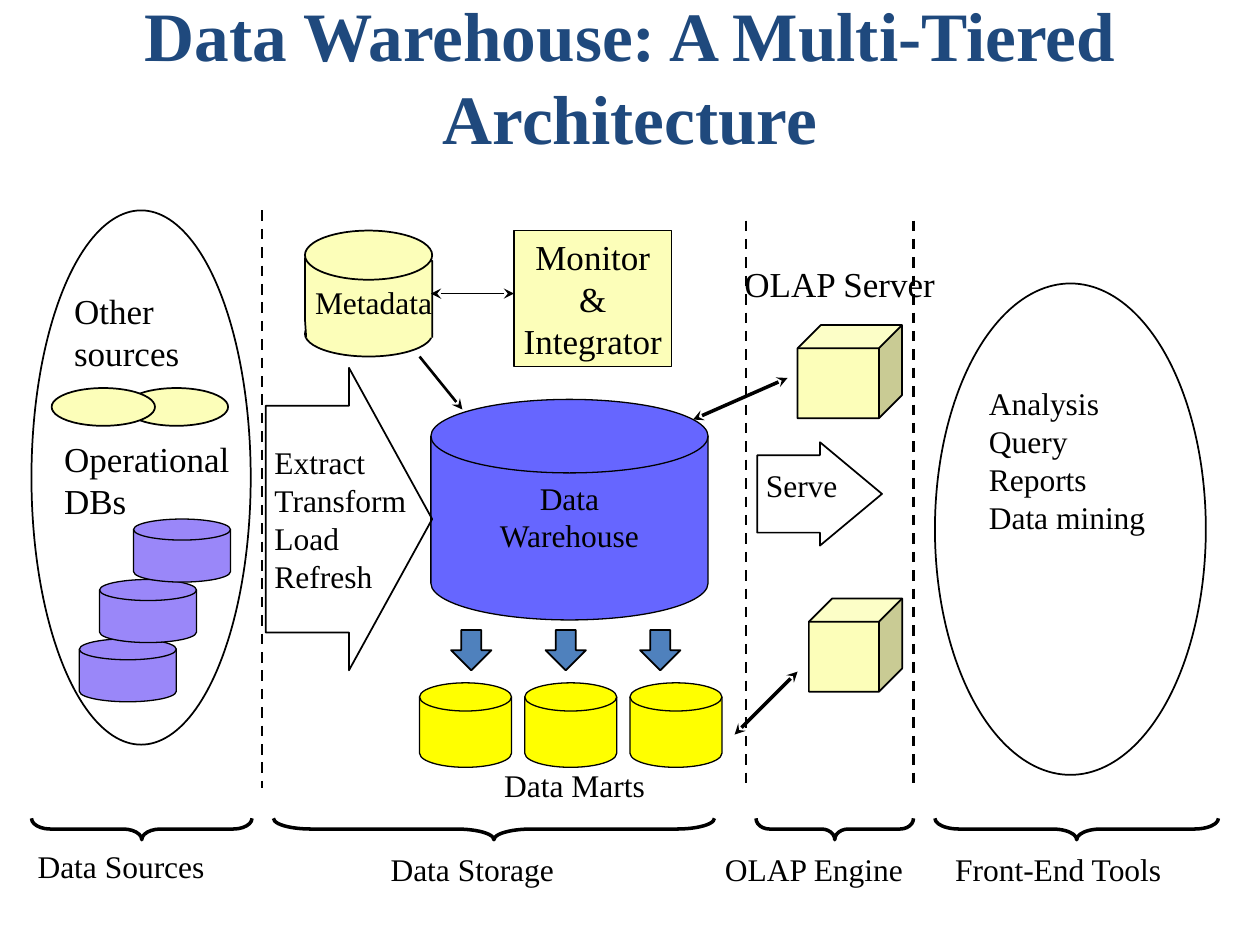
from lxml import etree
from pptx import Presentation
from pptx.dml.color import RGBColor
from pptx.enum.dml import MSO_LINE
from pptx.enum.shapes import MSO_CONNECTOR, MSO_SHAPE
from pptx.enum.text import MSO_ANCHOR, MSO_AUTO_SIZE, PP_ALIGN
from pptx.oxml.ns import qn
from pptx.util import Inches, Pt

LEFT, CENTER = PP_ALIGN.LEFT, PP_ALIGN.CENTER
MIDDLE = MSO_ANCHOR.MIDDLE
FIT = MSO_AUTO_SIZE.SHAPE_TO_FIT_TEXT
STRAIGHT, DASH = MSO_CONNECTOR.STRAIGHT, MSO_LINE.DASH
ELLIPSE, RECTANGLE, CUBE = MSO_SHAPE.OVAL, MSO_SHAPE.RECTANGLE, MSO_SHAPE.CUBE
DISK = MSO_SHAPE.FLOWCHART_MAGNETIC_DISK
RIGHT_ARROW, DOWN_ARROW = MSO_SHAPE.RIGHT_ARROW, MSO_SHAPE.DOWN_ARROW
BRACE = MSO_SHAPE.RIGHT_BRACE
COLORS = {
    "ink": "000000", "title": "1F497D", "warehouse": "6666FF", "cream": "FCFEB9",
    "mart": "FFFF00", "source": "9A87F9", "arrow": "4F81BD",
}


def paint(shape, fill, width):
    shape.shadow.inherit = False
    if fill:
        shape.fill.solid()
        shape.fill.fore_color.rgb = RGBColor.from_string(COLORS[fill])
    else:
        shape.fill.background()
    shape.line.color.rgb = RGBColor.from_string(COLORS["ink"])
    shape.line.width = Pt(width)


def write(frame, lines, size, align, color="ink", bold=False):
    for index, line in enumerate(lines):
        para = frame.paragraphs[0] if index == 0 else frame.add_paragraph()
        para.alignment = align
        span = para.add_run()
        span.text = line
        for name, value in {"name": "Times New Roman", "size": Pt(size), "bold": bold}.items():
            setattr(span.font, name, value)
        span.font.color.rgb = RGBColor.from_string(COLORS[color])


deck = Presentation()
deck.slide_width, deck.slide_height = Inches(10), Inches(7.5)
page = deck.slides.add_slide(deck.slide_layouts[6])

title = page.shapes.add_textbox(Inches(0.5), Inches(0.3), Inches(9), Inches(1.25))
title_format = {"word_wrap": True, "vertical_anchor": MIDDLE, "margin_bottom": Inches(0.7)}
for name, value in title_format.items():
    setattr(title.text_frame, name, value)
write(title.text_frame, ["Data Warehouse: A Multi-Tiered Architecture"], 39.6, CENTER, "title", True)

builder = page.shapes.build_freeform(Inches(2.43), Inches(2.68), scale=1.0)
metadata_side = [(2.42, 2.53), (2.42, 2.05), (3.43, 2.07), (3.43, 2.68)]
builder.add_line_segments([(Inches(x), Inches(y)) for x, y in metadata_side], close=False)

shapes = [
    (DISK, 3.42, 3.17, 2.2, 1.75, "warehouse", 0.75, []),
    (ELLIPSE, 7.42, 2.25, 2.15, 3.9, None, 1, []),
    (RIGHT_ARROW, 6.01, 3.51, 0.99, 0.82, None, 1, [0.75, 0.6]),
    (RIGHT_ARROW, 2.11, 2.92, 1.32, 2.4, None, 1, [0.75, 0.5]),
    (ELLIPSE, 2.42, 2.47, 1.01, 0.36, "cream", 1, []),
    "metadata side",
    (ELLIPSE, 2.42, 1.83, 1.01, 0.39, "cream", 1, []),
    (CUBE, 6.33, 2.58, 0.83, 0.74, "cream", 1, [0.25]),
    (CUBE, 6.42, 4.75, 0.74, 0.74, "cream", 1, [0.25]),
    (ELLIPSE, 0.99, 3.08, 0.82, 0.3, "cream", 1, []),
    (ELLIPSE, 0.25, 1.67, 1.74, 4.24, None, 1, []),
    (ELLIPSE, 0.41, 3.08, 0.82, 0.3, "cream", 1, []),
]
for column in range(3):
    shapes.append((DOWN_ARROW, 3.58 + 0.75 * column, 5, 0.32, 0.32, "arrow", 1, [0.5, 0.5]))
    shapes.append((DISK, 3.33 + 0.835 * column, 5.42, 0.73, 0.67, "mart", 0.75, []))
for left, top in [(0.63, 5.07), (0.79, 4.6), (1.06, 4.12)]:
    shapes.append((DISK, left, top, 0.77, 0.5, "source", 0.75, []))

for entry in shapes:
    if entry == "metadata side":
        paint(builder.convert_to_shape(), "cream", 1)
        continue
    kind, left, top, width, height, fill, weight, adjustments = entry
    shape = page.shapes.add_shape(kind, Inches(left), Inches(top), Inches(width), Inches(height))
    paint(shape, fill, weight)
    for index, value in enumerate(adjustments):
        shape.adjustments[index] = value

monitor = page.shapes.add_shape(RECTANGLE, Inches(4.08), Inches(1.83), Inches(1.25), Inches(1.08))
paint(monitor, "cream", 1)
monitor.text_frame.word_wrap = False
monitor.text_frame.vertical_anchor = MIDDLE
write(monitor.text_frame, ["Monitor", "&", "Integrator"], 20, CENTER)

brace_depth, brace_middle = 0.17, 6.58
for start, end in [(0.25, 2), (2.17, 5.67), (6, 7.25), (7.42, 9.67)]:
    length = end - start
    brace = page.shapes.add_shape(
        BRACE, Inches((start + end - brace_depth) / 2), Inches(brace_middle - length / 2),
        Inches(brace_depth), Inches(length))
    brace.rotation = 90
    brace.adjustments[0] = length / 2
    paint(brace, None, 2)

both, end_only = ["headEnd", "tailEnd"], ["tailEnd"]
lines = [
    (3.42, 2.33, 4.08, 2.33, 1, both),
    (5.5, 3.33, 6.25, 3, 2, both),
    (5.83, 5.83, 6.33, 5.33, 2, both),
    (3.33, 2.83, 3.67, 3.25, 1.5, end_only),
    (2.08, 1.67, 2.08, 6.25, 1.5, []),
    (5.92, 1.75, 5.92, 6.25, 1.5, []),
    (7.25, 1.75, 7.25, 6.25, 1.5, []),
]
for x1, y1, x2, y2, weight, ends in lines:
    line = page.shapes.add_connector(STRAIGHT, Inches(x1), Inches(y1), Inches(x2), Inches(y2))
    line.line.color.rgb = RGBColor.from_string(COLORS["ink"])
    line.line.width = Pt(weight)
    if not ends:
        line.line.dash_style = DASH
    for end in ends:
        etree.SubElement(line.line._get_or_add_ln(), qn("a:" + end), type="stealth")
    etree.SubElement(line._element.spPr, qn("a:effectLst"))

labels = [
    (["Data", "Warehouse"], 3.67, 3.75, 1.7, 0.9, 18, CENTER, True, False),
    (["Extract", "Transform", "Load", "Refresh"], 2.08, 3.47, 1.26, 1.3, 18, LEFT, True, False),
    (["Analysis", "Query", "Reports", "Data mining"], 7.75, 3, 1.86, 1.7, 18, LEFT, True, False),
    (["Serve"], 5.98, 3.65, 0.96, 0.5, 18, LEFT, True, False),
    (["Operational", "DBs"], 0.41, 3.42, 1.58, 0.77, 20, LEFT, True, False),
    (["Other", "sources"], 0.49, 2.25, 1.2, 0.77, 20, LEFT, True, True),
    (["Metadata"], 2.5, 2.25, 0.93, 0.3, 18, LEFT, False, False),
    (["Data Marts"], 4, 6.08, 1.12, 0.3, 18, CENTER, False, False),
    (["OLAP Server"], 5.83, 2.08, 1.67, 0.33, 20, CENTER, False, True),
    (["Data Sources"], 0.2, 6.67, 1.97, 0.5, 18, LEFT, True, False),
    (["Data Storage"], 3.1, 6.75, 1.73, 0.4, 18, LEFT, False, False),
    (["OLAP Engine"], 5.42, 6.75, 2.08, 0.4, 18, CENTER, False, True),
    (["Front-End Tools"], 7.58, 6.75, 2.21, 0.4, 18, LEFT, False, False),
]
for text, left, top, width, height, size, align, padded, wrap in labels:
    box = page.shapes.add_textbox(Inches(left), Inches(top), Inches(width), Inches(height))
    side, edge = (Inches(0.1), Inches(0.05)) if padded else (0, 0)
    box_format = {
        "word_wrap": wrap, "auto_size": FIT, "margin_left": side, "margin_right": side,
        "margin_top": edge, "margin_bottom": edge,
    }
    for name, value in box_format.items():
        setattr(box.text_frame, name, value)
    write(box.text_frame, text, size, align)

deck.save("out.pptx")
